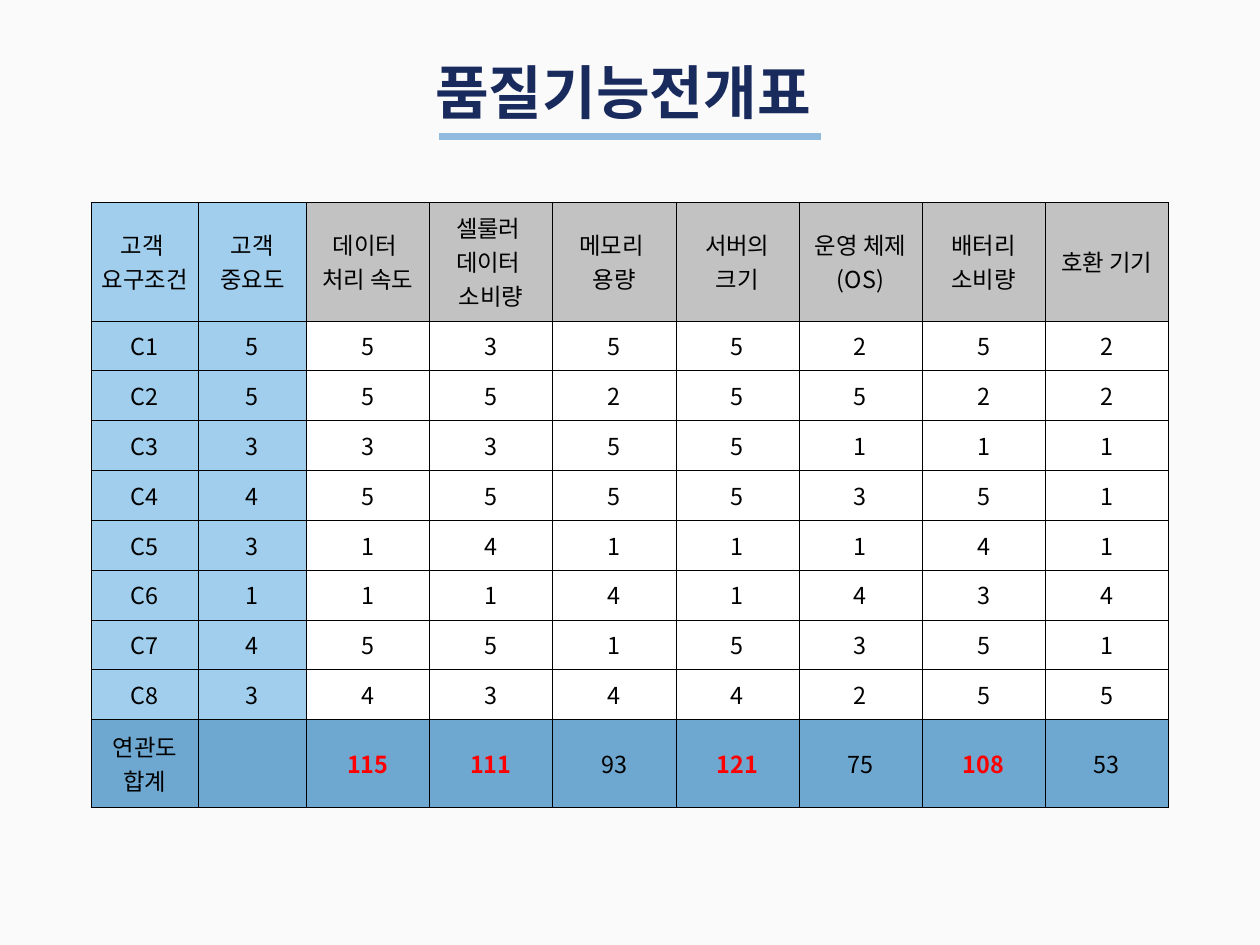
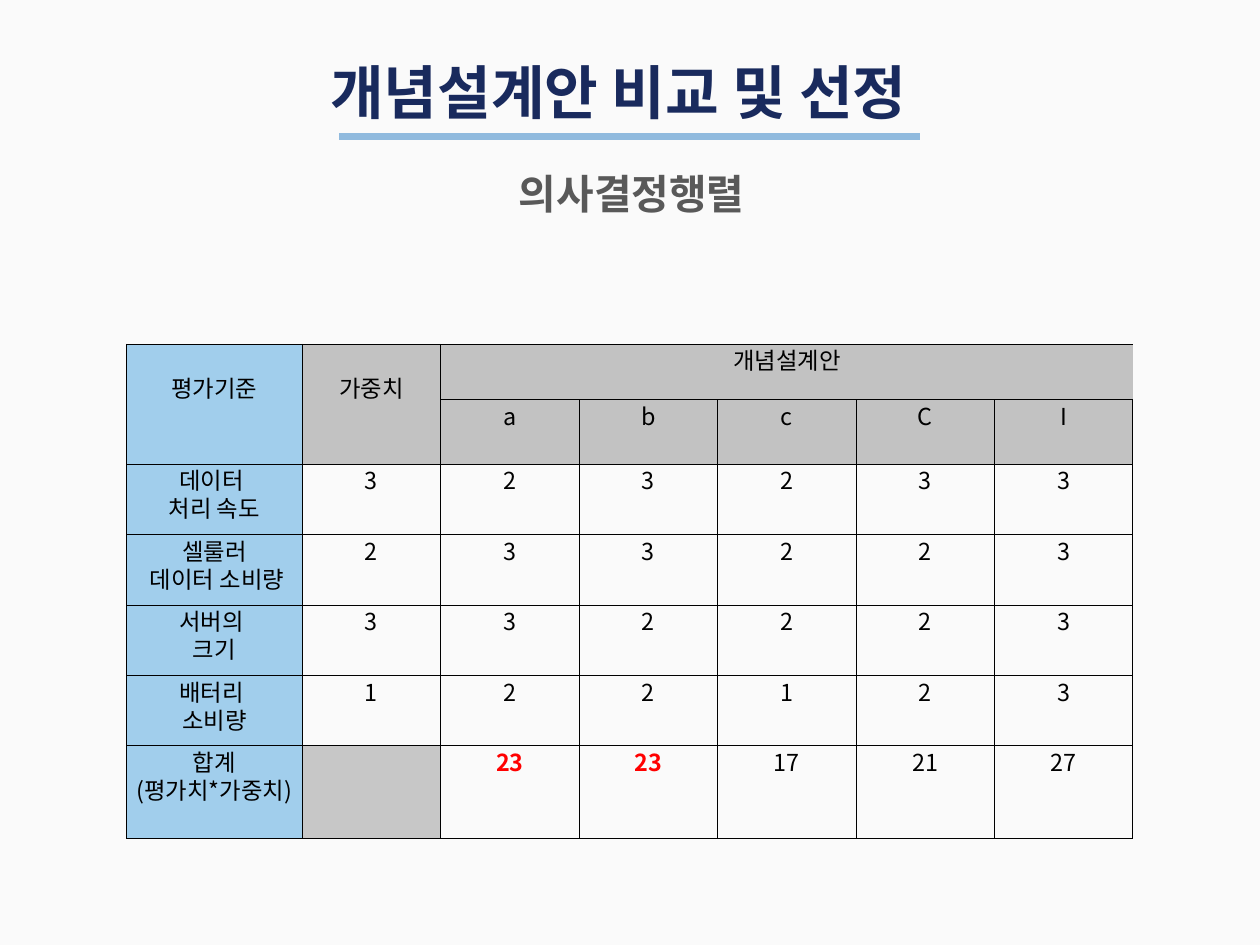
import pptx
import pptx.dml.color
import pptx.enum.text
import pptx.oxml.ns
import pptx.util
from lxml import etree

Pt = pptx.util.Pt
qn = pptx.oxml.ns.qn
ALIGN = pptx.enum.text.PP_ALIGN
ANCHOR = pptx.enum.text.MSO_ANCHOR

FONT = "Noto Sans CJK KR"
PAPER, NAVY, RULE_BLUE, DARK_GRAY = "FAFAFA", "192A5D", "90BADE", "595959"
BLACK, RED, WHITE = "000000", "FF0000", "FFFFFF"
SKY, STEEL, GRAY, BLANK_GRAY = "A1CEEC", "6EA8D0", "C2C2C2", "C7C7C7"
NO_STYLE = "{2D5ABB26-0587-4C30-8999-92F81FD0307C}"

CENTER = 540
TITLE_TOP, RULE_TOP = 44.6, 116.6

QUALITY_ROWS = [
    ["고객 \n요구조건", "고객\n중요도", "데이터 \n처리 속도", "셀룰러 \n데이터 \n소비량", "메모리 \n용량",
     "서버의\n크기", "운영 체제\n(OS)", "배터리\n소비량", "호환 기기"],
    ["C1", 5, 5, 3, 5, 5, 2, 5, 2],
    ["C2", 5, 5, 5, 2, 5, 5, 2, 2],
    ["C3", 3, 3, 3, 5, 5, 1, 1, 1],
    ["C4", 4, 5, 5, 5, 5, 3, 5, 1],
    ["C5", 3, 1, 4, 1, 1, 1, 4, 1],
    ["C6", 1, 1, 1, 4, 1, 4, 3, 4],
    ["C7", 4, 5, 5, 1, 5, 3, 5, 1],
    ["C8", 3, 4, 3, 4, 4, 2, 5, 5],
    ["연관도\n합계", "", 115, 111, 93, 121, 75, 108, 53],
]

DECISION_ROWS = [
    ["평가기준", "가중치", "개념설계안", "", "", "", ""],
    ["", "", "a", "b", "c", "C", "I"],
    ["데이터 \n처리 속도", 3, 2, 3, 2, 3, 3],
    ["셀룰러\n 데이터 소비량", 2, 3, 3, 2, 2, 3],
    ["서버의 \n크기", 3, 3, 2, 2, 2, 3],
    ["배터리 \n소비량", 1, 2, 2, 1, 2, 3],
    ["합계\n(평가치*가중치)", "", 23, 23, 17, 21, 27],
]


def color(hex_code):
    return pptx.dml.color.RGBColor.from_string(hex_code)


def quality_fill(row, column):
    if row == len(QUALITY_ROWS) - 1:
        return STEEL
    if column < 2:
        return SKY
    return GRAY if row == 0 else WHITE


def decision_fill(row, column):
    """Return the cell colour, or None where the page shows through."""
    if column == 0:
        return SKY
    if row < 2:
        return GRAY
    if row == len(DECISION_ROWS) - 1 and column == 1:
        return BLANK_GRAY
    return None


def add_borders(cell, width):
    """Line every side, but leave the right of a horizontally merged cell open."""
    properties = cell._tc.get_or_add_tcPr()
    for side in "LRTB":
        if side == "R" and cell.is_merge_origin and cell.span_width > 1:
            continue
        line = etree.SubElement(properties, qn(f"a:ln{side}"), w=str(Pt(width)))
        fill = etree.SubElement(line, qn("a:solidFill"))
        etree.SubElement(fill, qn("a:srgbClr"), val=BLACK)


class DeckBuilder:
    def __init__(self):
        self.deck = pptx.Presentation()
        self.deck.slide_width = Pt(1080)
        self.deck.slide_height = Pt(810)
        self.page = None

    def add_page(self):
        self.page = self.deck.slides.add_slide(self.deck.slide_layouts[6])
        background = self.page.background.fill
        background.solid()
        background.fore_color.rgb = color(PAPER)

    def style(self, para, size, text_color, bold=False, align=None):
        para.alignment = align
        para.font.size = Pt(size)
        para.font.bold = bold
        para.font.color.rgb = color(text_color)
        para.font.name = FONT
        defaults = para._p.pPr.find(qn("a:defRPr"))
        etree.SubElement(defaults, qn("a:ea"), typeface=FONT)

    def text(self, words, left, top, width, height, size, text_color, align=ALIGN.LEFT):
        box = self.page.shapes.add_textbox(Pt(left), Pt(top), Pt(width), Pt(height))
        frame = box.text_frame
        frame.word_wrap = True
        frame.auto_size = pptx.enum.text.MSO_AUTO_SIZE.SHAPE_TO_FIT_TEXT
        frame.text = words
        self.style(frame.paragraphs[0], size, text_color, True, align)

    def title(self, words, left, width, rule_width):
        self.text(words, left, TITLE_TOP, width, 128, 50, NAVY)
        rule = self.page.shapes.add_connector(
            pptx.enum.shapes.MSO_CONNECTOR.STRAIGHT,
            Pt(CENTER - rule_width / 2), Pt(RULE_TOP),
            Pt(CENTER + rule_width / 2), Pt(RULE_TOP))
        rule.line.color.rgb = color(RULE_BLUE)
        rule.line.width = Pt(6)
        etree.SubElement(rule._element.spPr, qn("a:effectLst"))

    def table(self, rows, left, top, widths, heights, fill_of, border,
              margins, anchor, spacing=None, highlights=(), merges=()):
        """Draw rows; merges holds (top, left, bottom, right) cell indices."""
        frame = self.page.shapes.add_table(
            len(rows), len(widths), Pt(left), Pt(top), Pt(sum(widths)), Pt(sum(heights)))
        table = frame.table
        table.first_row = table.horz_banding = False
        table._tbl.tblPr.find(qn("a:tableStyleId")).text = NO_STYLE
        for column, width in zip(table.columns, widths):
            column.width = Pt(width)
        for row, height in zip(table.rows, heights):
            row.height = Pt(height)
        for first_row, first_column, last_row, last_column in merges:
            table.cell(first_row, first_column).merge(table.cell(last_row, last_column))

        side_margin, end_margin = margins
        for row_index, values in enumerate(rows):
            for column_index, value in enumerate(values):
                cell = table.cell(row_index, column_index)
                if cell.is_spanned:
                    continue
                add_borders(cell, border)
                fill = fill_of(row_index, column_index)
                if fill:
                    cell.fill.solid()
                    cell.fill.fore_color.rgb = color(fill)
                else:
                    cell.fill.background()
                cell.vertical_anchor = anchor
                cell.margin_left = cell.margin_right = Pt(side_margin)
                cell.margin_top = cell.margin_bottom = Pt(end_margin)
                if cell.is_merge_origin and cell.span_height > 1:
                    cell.margin_top = Pt(end_margin + spacing)
                cell.text = str(value)
                marked = value in highlights
                for para in cell.text_frame.paragraphs:
                    self.style(para, 20, RED if marked else BLACK, marked, ALIGN.CENTER)
                    if spacing:
                        para.line_spacing = Pt(spacing)


def main():
    builder = DeckBuilder()

    builder.add_page()
    builder.title("품질기능전개표", 365.8, 347.8, 328)
    builder.table(
        QUALITY_ROWS, 78, 173.5, [92.2] * 2 + [105.6] * 7, [101.5] + [42.7] * 8 + [75.6],
        quality_fill, 0.28, (5, 1.4), ANCHOR.MIDDLE, highlights=(115, 111, 121, 108))

    builder.add_page()
    builder.title("개념설계안 비교 및 선정", 275.8, 527.8, 498)
    builder.text("의사결정행렬", 69, 141, 945, 50, 35, DARK_GRAY, ALIGN.CENTER)
    builder.table(
        DECISION_ROWS, 108.5, 295.2, [150.5] + [118.7] * 6, [47.5, 37.5] + [60.4] * 4 + [47.5],
        decision_fill, 1, (7.2, 3.6), ANCHOR.TOP, spacing=24, highlights=(23,),
        merges=[(0, 0, 1, 0), (0, 1, 1, 1), (0, 2, 0, 6)])

    builder.deck.save("out.pptx")


if __name__ == "__main__":
    import pptx.enum.shapes
    main()
